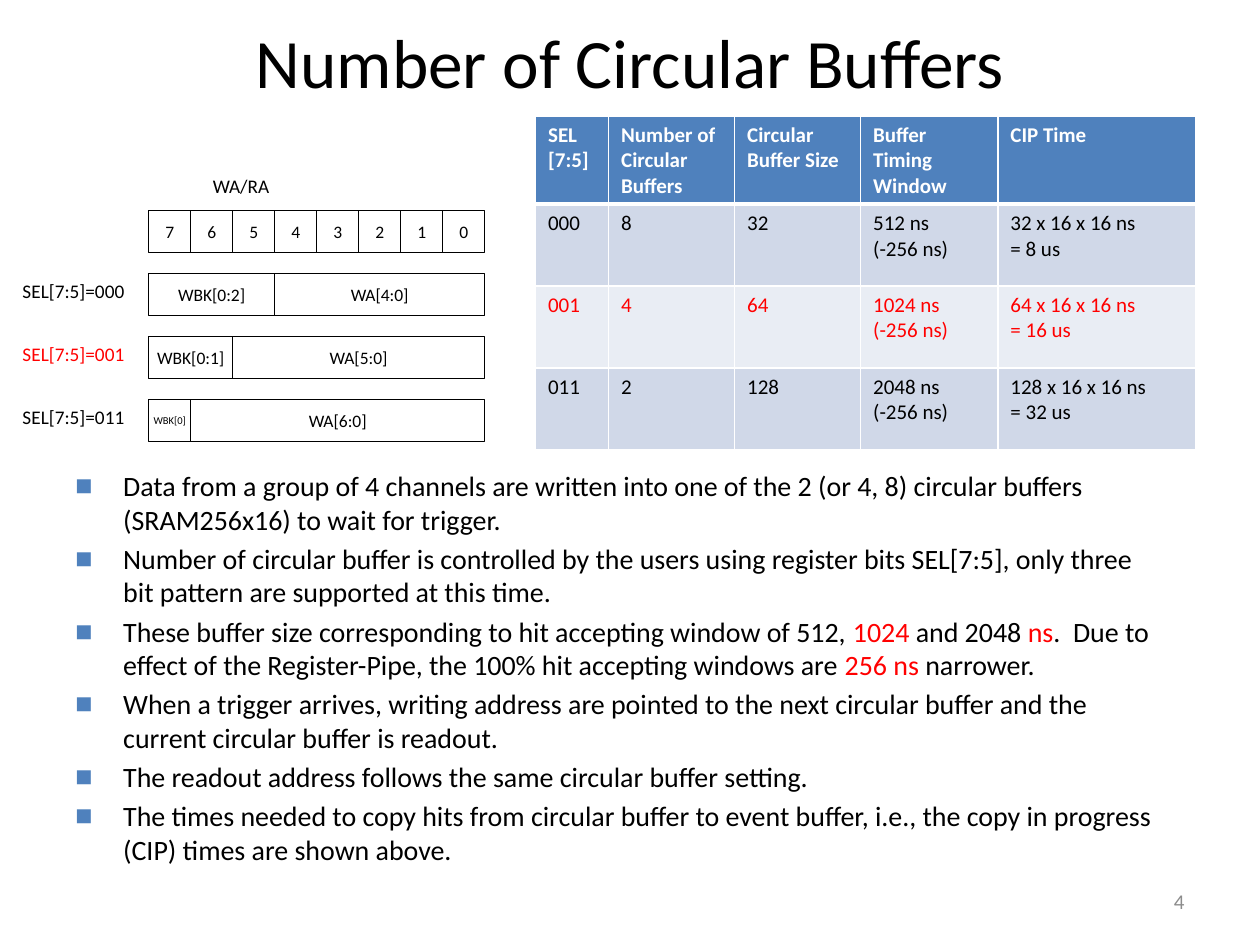
from dataclasses import dataclass

from lxml import etree
from pptx import Presentation
from pptx.dml.color import RGBColor
from pptx.enum.shapes import MSO_SHAPE
from pptx.enum.text import MSO_ANCHOR, PP_ALIGN
from pptx.oxml.ns import qn
from pptx.util import Inches, Pt

RECT = MSO_SHAPE.RECTANGLE
TOP, MIDDLE = MSO_ANCHOR.TOP, MSO_ANCHOR.MIDDLE
LEFT, CENTER, RIGHT = PP_ALIGN.LEFT, PP_ALIGN.CENTER, PP_ALIGN.RIGHT

FONT = "Calibri"
BLACK, WHITE, RED, GREY = "000000", "FFFFFF", "FF0000", "8C8C8C"
BLUE, BAND_DARK, BAND_LIGHT = "4F81BD", "D0D8E8", "E9EDF4"

# Register diagram grid, in inches
BIT = 1 / 3
BITS_LEFT, BITS_TOP, ROW_PITCH = 1.18, 1.67, 0.5
LABEL_LEFT = 0.08


@dataclass
class Field:
    text: str
    bits: int
    size: float = 10


@dataclass
class Register:
    label: str
    fields: list[Field]
    color: str = BLACK


REGISTERS = [
    Register("", [Field(str(bit), 1) for bit in range(7, -1, -1)]),
    Register("SEL[7:5]=000", [Field("WBK[0:2]", 3), Field("WA[4:0]", 5)]),
    Register("SEL[7:5]=001", [Field("WBK[0:1]", 2), Field("WA[5:0]", 6)], RED),
    Register("SEL[7:5]=011", [Field("WBK[0]", 1, 6), Field("WA[6:0]", 7)]),
]

COLUMN_WIDTHS = [0.58, 1, 1, 1.09, 1.57]
TABLE_ROWS = [
    ["SEL\n[7:5]", "Number of Circular Buffers", "Circular Buffer Size",
     "Buffer Timing Window", "CIP Time"],
    ["000", "8", "32", "512 ns\n(-256 ns)", "32 x 16 x 16 ns\n= 8 us"],
    ["001", "4", "64", "1024 ns\n(-256 ns)", "64 x 16 x 16 ns\n= 16 us"],
    ["011", "2", "128", "2048 ns\n(-256 ns)", "128 x 16 x 16 ns\n= 32 us"],
]
# Fill and font colour of each table row
ROW_STYLES = [(BLUE, WHITE), (BAND_DARK, BLACK), (BAND_LIGHT, RED), (BAND_DARK, BLACK)]

# Each bullet is a list of pieces; every second piece is highlighted
BULLETS = [
    ["Data from a group of 4 channels are written into one of the 2 (or 4, 8) "
     "circular buffers (SRAM256x16) to wait for trigger."],
    ["Number of circular buffer is controlled by the users using register bits "
     "SEL[7:5], only three bit pattern are supported at this time."],
    ["These buffer size corresponding to hit accepting window of 512, ", "1024",
     " and 2048 ", "ns", ".  Due to effect of the Register-Pipe, the 100% hit "
     "accepting windows are ", "256 ns ", "narrower."],
    ["When a trigger arrives, writing address are pointed to the next circular "
     "buffer and the current circular buffer is readout."],
    ["The readout address follows the same circular buffer setting."],
    ["The times needed to copy hits from circular buffer to event buffer, i.e., "
     "the copy in progress (CIP) times are shown above."],
]


def rgb(color: str) -> RGBColor:
    return RGBColor.from_string(color)


def style_font(r, size: float, color: str, bold: bool = False) -> None:
    r.font.name = FONT
    r.font.size = Pt(size)
    r.font.bold = bold
    r.font.color.rgb = rgb(color)


def set_text(tf, text: str, size: float, color: str, align=LEFT, bold: bool = False) -> None:
    tf.text = text
    for p in tf.paragraphs:
        p.alignment = align
        for r in p.runs:
            style_font(r, size, color, bold)


def add_text(s, box: tuple, text: str, size: float, color: str = BLACK,
             align=LEFT, anchor=TOP, wrap: bool = False) -> None:
    tf = s.shapes.add_textbox(*map(Inches, box)).text_frame
    tf.word_wrap = wrap
    tf.vertical_anchor = anchor
    set_text(tf, text, size, color, align)


def add_field(s, field: Field, x: float, y: float) -> None:
    sp = s.shapes.add_shape(RECT, *map(Inches, (x, y, field.bits * BIT, BIT)))
    sp.shadow.inherit = False
    sp.fill.solid()
    sp.fill.fore_color.rgb = rgb(WHITE)
    sp.line.color.rgb = rgb(BLACK)
    sp.line.width = Pt(0.75)
    tf = sp.text_frame
    tf.margin_left = tf.margin_right = tf.margin_top = tf.margin_bottom = 0
    tf.word_wrap = False
    tf.vertical_anchor = MIDDLE
    set_text(tf, field.text, field.size, BLACK, CENTER)


def add_register(s, register: Register, row: int) -> None:
    x, y = BITS_LEFT, BITS_TOP + row * ROW_PITCH
    for field in register.fields:
        add_field(s, field, x, y)
        x += field.bits * BIT
    if register.label:
        add_text(s, (LABEL_LEFT, y, 1.09, 0.29), register.label, 11, register.color)


def set_borders(cell, bottom: float) -> None:
    """Draw white borders of 1 pt, with the bottom one as given."""
    tcPr = cell._tc.get_or_add_tcPr()
    for i, (tag, width) in enumerate([("lnL", 1), ("lnR", 1), ("lnT", 1), ("lnB", bottom)]):
        ln = etree.Element(qn(f"a:{tag}"), w=str(Pt(width)))
        fill = etree.SubElement(ln, qn("a:solidFill"))
        etree.SubElement(fill, qn("a:srgbClr"), val=WHITE)
        tcPr.insert(i, ln)


def add_buffer_table(s) -> None:
    table = s.shapes.add_table(len(TABLE_ROWS), len(COLUMN_WIDTHS), Inches(4.25),
                               Inches(0.92), Inches(5.25), Inches(2.6)).table
    for column, width in zip(table.columns, COLUMN_WIDTHS):
        column.width = Inches(width)
    for i, (texts, (fill, color)) in enumerate(zip(TABLE_ROWS, ROW_STYLES)):
        table.rows[i].height = Inches(0.65)
        header = i == 0
        for j, text in enumerate(texts):
            cell = table.cell(i, j)
            cell.fill.solid()
            cell.fill.fore_color.rgb = rgb(fill)
            set_text(cell.text_frame, text, 12, color, bold=header)
            set_borders(cell, 3 if header else 1)


def set_bullet(p) -> None:
    pPr = p._p.get_or_add_pPr()
    pPr.set("marL", str(Inches(0.38)))
    pPr.set("indent", str(-Inches(0.38)))
    color = etree.SubElement(pPr, qn("a:buClr"))
    etree.SubElement(color, qn("a:srgbClr"), val=BLUE)
    etree.SubElement(pPr, qn("a:buSzPct"), val="65000")
    etree.SubElement(pPr, qn("a:buFont"), typeface=FONT)
    etree.SubElement(pPr, qn("a:buChar"), char="■")


def add_bullets(s) -> None:
    tf = s.shapes.add_textbox(*map(Inches, (0.5, 3.67, 8.83, 3.33))).text_frame
    tf.word_wrap = True
    for i, pieces in enumerate(BULLETS):
        p = tf.add_paragraph() if i else tf.paragraphs[0]
        p.space_before = Pt(3.2)
        set_bullet(p)
        for j, piece in enumerate(pieces):
            r = p.add_run()
            r.text = piece
            style_font(r, 16, RED if j % 2 else BLACK)


def main() -> None:
    prs = Presentation()
    prs.slide_width, prs.slide_height = Inches(10), Inches(7.5)
    s = prs.slides.add_slide(prs.slide_layouts[6])
    add_text(s, (0.5, 0.21, 9, 0.54), "Number of Circular Buffers", 39.6,
             align=CENTER, anchor=MIDDLE, wrap=True)
    add_text(s, (7.17, 6.95, 2.33, 0.4), "4", 12, GREY, RIGHT, MIDDLE, wrap=True)
    add_text(s, (1.59, 1.33, 0.72, 0.29), "WA/RA", 11)
    for row, register in enumerate(REGISTERS):
        add_register(s, register, row)
    add_bullets(s)
    add_buffer_table(s)
    prs.save("out.pptx")


if __name__ == "__main__":
    main()
